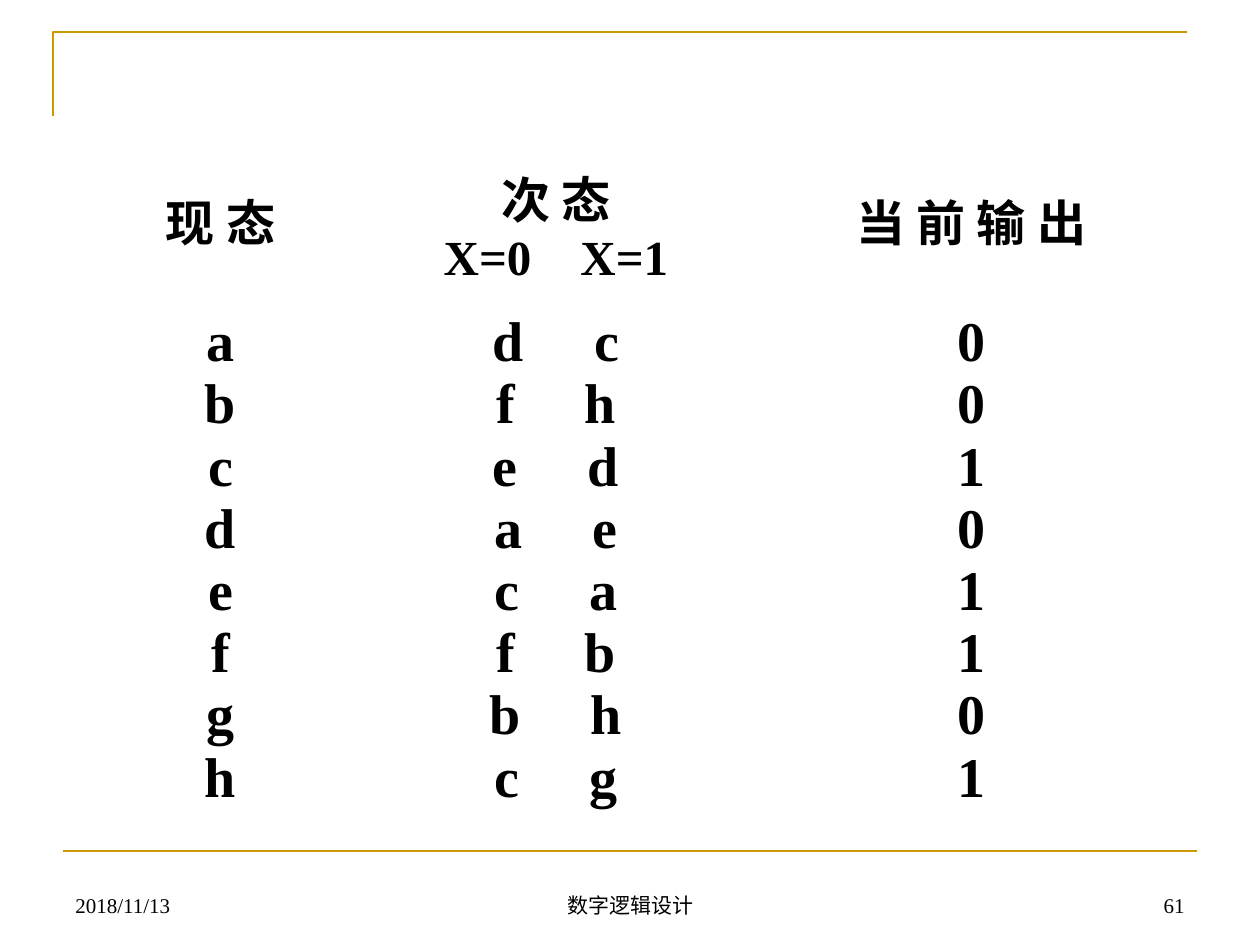
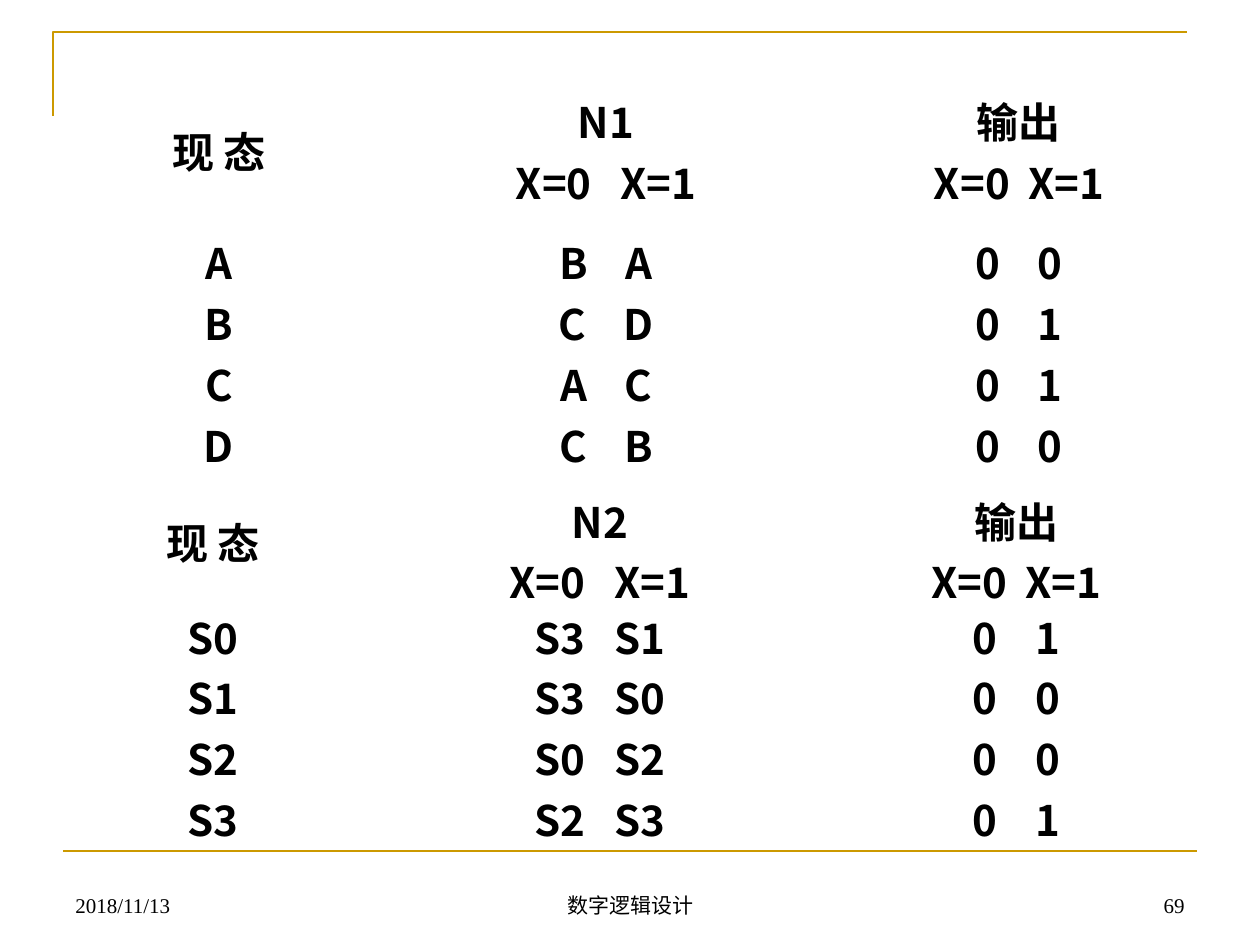
from dataclasses import dataclass

from lxml import etree
from pptx import Presentation
from pptx import util as u
from pptx.dml.color import RGBColor
from pptx.enum import shapes, text
from pptx.oxml.ns import qn

PX = 914400 / 126  # EMU in one px
NO_STYLE = "{2D5ABB26-0587-4C30-8999-92F81FD0307C}"
ALIGN = text.PP_ALIGN


@dataclass(frozen=True)
class Theme:
    gold: RGBColor = RGBColor(0xCC, 0x99, 0x00)
    ink: RGBColor = RGBColor(0, 0, 0)
    paper: RGBColor = RGBColor(255, 255, 255)
    serif: str = "Times New Roman"
    sans: str = "Noto Sans CJK SC"
    footer_size: int = 12
    line_width: float = 1.5


THEME = Theme()

# Shared frame
CORNER = [(53, 116), (53, 32), (1187, 32)]
RULE = (63, 851, 1197, 851)
DATE, COURSE = "2018/11/13", "数字逻辑设计"
FOOTER_TOP, FOOTER_HEIGHT = 861, 63

# A pair is a (left, right) tuple; its gap is the extra space in points.
# A column is (head lines, head gap, body lines, body gap).
INPUTS = ("X=0", "X=1")

EIGHT_STATES = dict(
    at=(95, 155), widths=(251, 420, 411), heights=(116, 489),
    font=THEME.serif, sizes=(28, 32), indent=0, filled=False,
    columns=[
        (["现 态"], 0, list("abcdefgh"), 0),
        (["次 态", INPUTS], 21,
         [tuple(pair) for pair in "dc fh ed ae ca fb bh cg".split()], 32),
        (["当 前 输 出"], 0, list("00101101"), 0),
    ])

MACHINE_N2 = dict(
    at=(34, 483), widths=(358, 416, 417), heights=(116, 222),
    font=THEME.sans, sizes=(24, 24), indent=0, filled=True,
    columns=[
        (["现 态"], 0, ["S0", "S1", "S2", "S3"], 0),
        (["N2", INPUTS], 11,
         [("S3", "S1"), ("S3", "S0"), ("S0", "S2"), ("S2", "S3")], 11),
        (["输出", INPUTS], 5, [tuple(pair) for pair in "01 00 00 01".split()], 16),
    ])

MACHINE_N1 = dict(
    at=(37, 76), widths=(364, 410, 416), heights=(149, 238),
    font=THEME.sans, sizes=(24, 24), indent=48, filled=False,
    columns=[
        (["现 态"], 0, list("ABCD"), 0),
        (["N1", INPUTS], 11, [tuple(pair) for pair in "BA CD AC CB".split()], 16),
        (["输出", INPUTS], 5, [tuple(pair) for pair in "00 01 01 00".split()], 16),
    ])

PAGES = [("61", [EIGHT_STATES]), ("69", [MACHINE_N2, MACHINE_N1])]


def emu(px):
    return u.Emu(round(px * PX))


def format_span(span, font, size, bold=False):
    span.font.size = u.Pt(size)
    span.font.bold = bold
    span.font.color.rgb = THEME.ink
    span.font.name = font
    east_asian = etree.SubElement(span.font._element, qn("a:ea"))
    east_asian.set("typeface", THEME.sans)


def style_line(line):
    line.color.rgb = THEME.gold
    line.width = u.Pt(THEME.line_width)


def add_frame(page):
    """Draw the gold corner and the rule above the footer."""
    builder = page.shapes.build_freeform(*CORNER[0], scale=PX)
    builder.add_line_segments(CORNER[1:], close=False)
    corner = builder.convert_to_shape()
    corner.fill.background()
    corner.shadow.inherit = False
    style_line(corner.line)

    rule = page.shapes.add_connector(
        shapes.MSO_CONNECTOR.STRAIGHT, *map(emu, RULE))
    style_line(rule.line)
    etree.SubElement(rule._element.spPr, qn("a:effectLst"))


def add_footer(page, number):
    parts = [(63, 294, DATE, ALIGN.LEFT),
             (431, 399, COURSE, ALIGN.CENTER),
             (903, 294, number, ALIGN.RIGHT)]
    for left, width, words, align in parts:
        box = page.shapes.add_textbox(
            *map(emu, (left, FOOTER_TOP, width, FOOTER_HEIGHT)))
        frame = box.text_frame
        frame.word_wrap = True
        frame.vertical_anchor = text.MSO_ANCHOR.BOTTOM
        frame.text = words
        para = frame.paragraphs[0]
        para.alignment = align
        format_span(para.runs[0], THEME.serif, THEME.footer_size)


def fill_cell(cell, lines, gap, size, look):
    cell.vertical_anchor = text.MSO_ANCHOR.MIDDLE
    if look["filled"]:
        cell.fill.solid()
        cell.fill.fore_color.rgb = THEME.paper
    else:
        cell.fill.background()
    frame = cell.text_frame
    for index, line in enumerate(lines):
        para = frame.add_paragraph() if index else frame.paragraphs[0]
        para.alignment = ALIGN.CENTER
        if look["indent"]:
            hang = emu(look["indent"])
            properties = para._p.get_or_add_pPr()
            properties.set("marL", str(hang))
            properties.set("indent", str(-hang))
        pieces = (line[0], " ", line[1]) if isinstance(line, tuple) else (line,)
        for piece in pieces:
            span = para.add_run()
            span.text = piece
            format_span(span, look["font"], size, bold=True)
            if piece == " ":
                span.font._element.set("spc", str(gap * 100))


def add_state_table(page, look):
    widths, heights = look["widths"], look["heights"]
    frame = page.shapes.add_table(
        len(heights), len(widths),
        *map(emu, (*look["at"], sum(widths), sum(heights))))
    table = frame.table
    table.first_row = table.horz_banding = False
    table._tbl.tblPr.find(qn("a:tableStyleId")).text = NO_STYLE
    for row, height in zip(table.rows, heights):
        row.height = emu(height)
    for index, (head, head_gap, body, body_gap) in enumerate(look["columns"]):
        table.columns[index].width = emu(widths[index])
        head_size, body_size = look["sizes"]
        fill_cell(table.cell(0, index), head, head_gap, head_size, look)
        fill_cell(table.cell(1, index), body, body_gap, body_size, look)


def main():
    deck = Presentation()
    deck.slide_width, deck.slide_height = u.Inches(10), u.Inches(7.5)
    for number, tables in PAGES:
        page = deck.slides.add_slide(deck.slide_layouts[6])
        add_frame(page)
        add_footer(page, number)
        for look in tables:
            add_state_table(page, look)
    deck.save("out.pptx")


if __name__ == "__main__":
    main()
